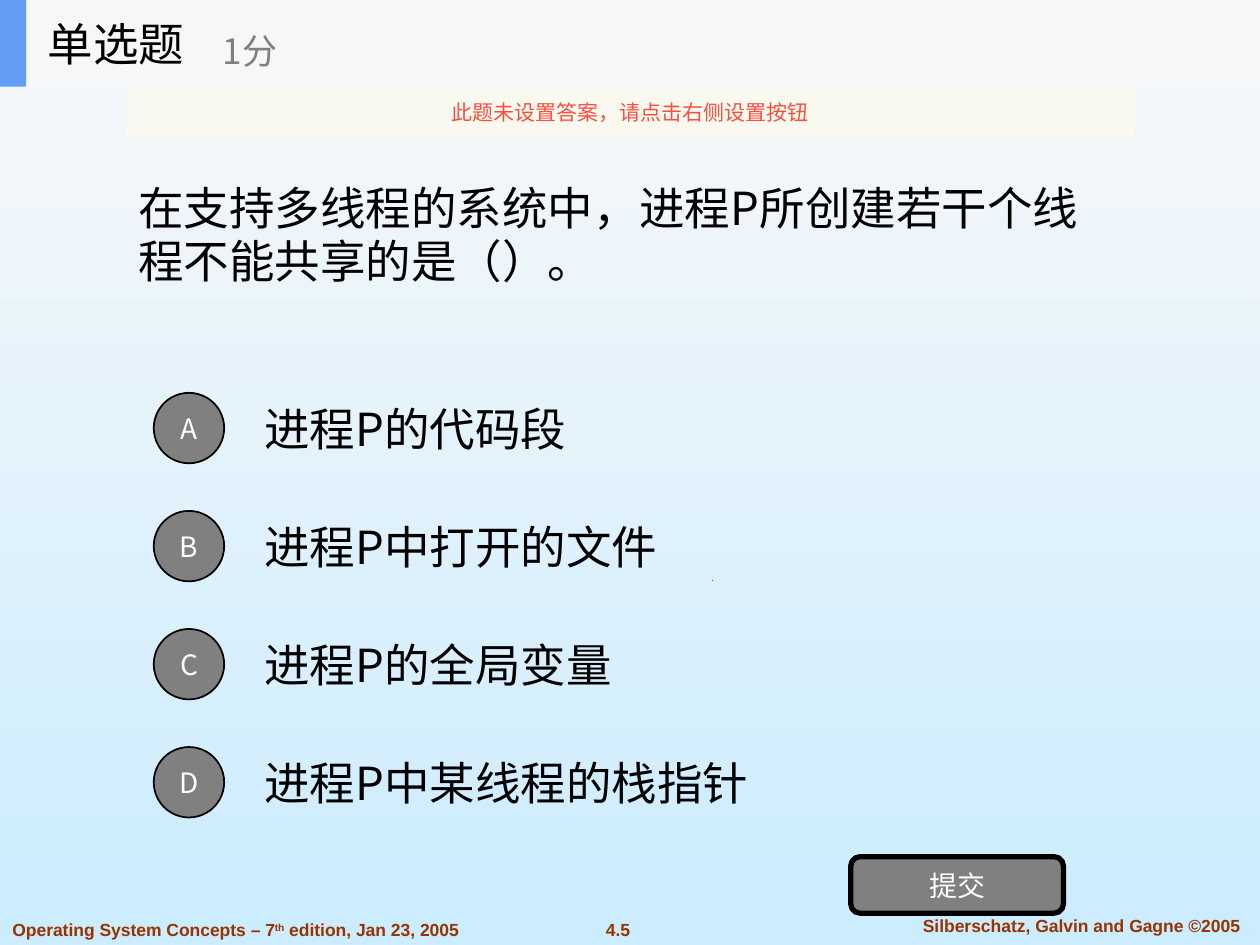
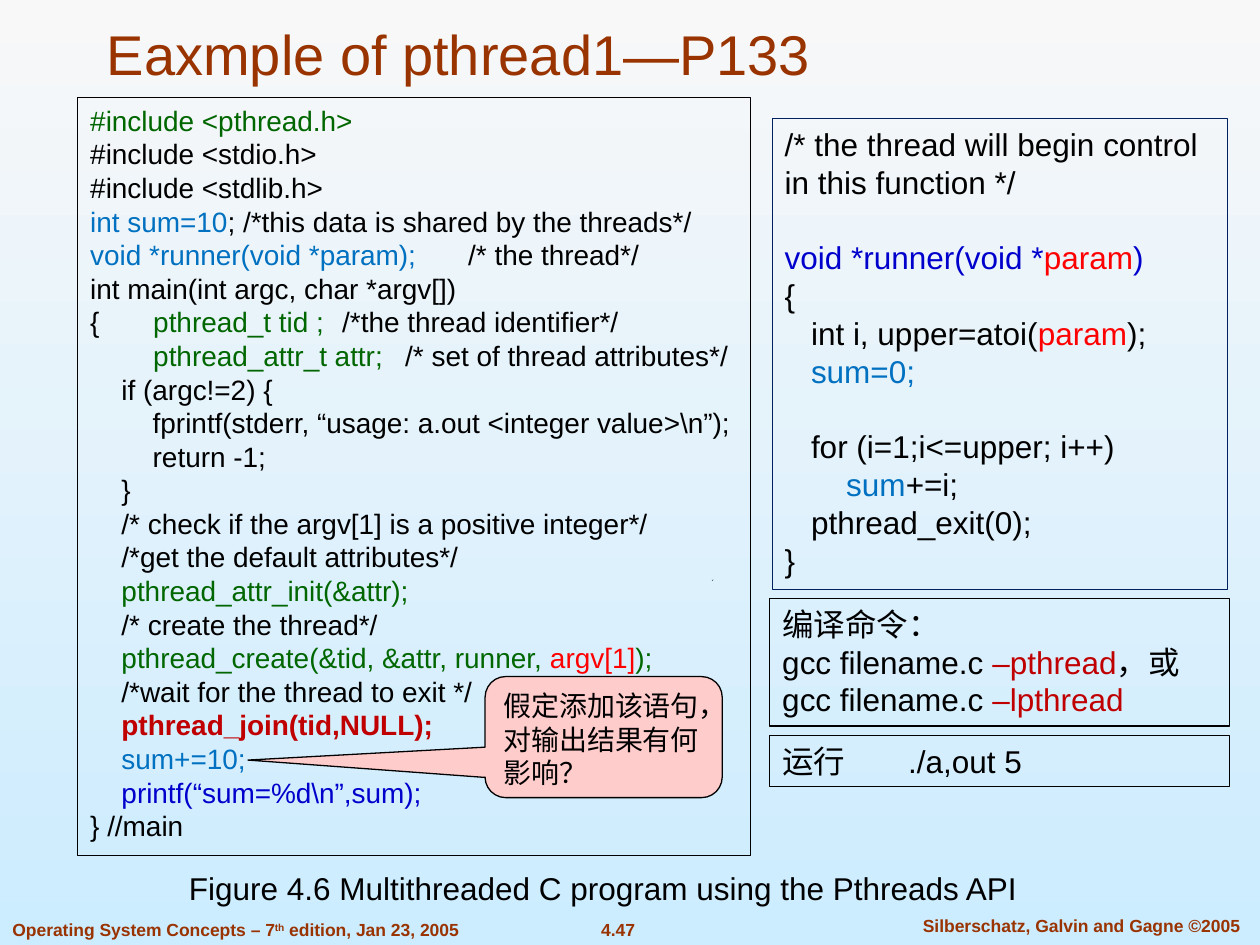
from lxml import etree
from pptx import Presentation
from pptx.dml.color import RGBColor
from pptx.enum.shapes import MSO_SHAPE
from pptx.enum.text import MSO_ANCHOR, MSO_AUTO_SIZE, PP_ALIGN
from pptx.oxml.ns import qn
from pptx.util import Cm, Pt

RECT, OVAL = MSO_SHAPE.RECTANGLE, MSO_SHAPE.OVAL
ROUND = MSO_SHAPE.ROUNDED_RECTANGLE
CALLOUT = MSO_SHAPE.ROUNDED_RECTANGULAR_CALLOUT
TOP, MIDDLE, BOTTOM = MSO_ANCHOR.TOP, MSO_ANCHOR.MIDDLE, MSO_ANCHOR.BOTTOM
LEFT, CENTER = PP_ALIGN.LEFT, PP_ALIGN.CENTER
FIXED = MSO_AUTO_SIZE.NONE

SANS, HAN = "Arial", "Noto Sans CJK SC"
COLORS = {
    "sky_top": "F8F8F8", "sky_low": "CCECFF", "rust": "993300",
    "black": "000000", "white": "FFFFFF", "gray": "808080",
    "band": "F6F7F8", "accent": "639EF4", "cream": "FBFAEF",
    "alert": "F84F41", "green": "006600", "blue": "0070C0",
    "ink": "0000CC", "red": "FF0000", "dark_red": "C00000",
    "navy": "002060", "pink": "FFCCCC",
}
STEP = 0.63          # one code indent, cm
BODY, LOOP = 0.53, 1.24  # indents in the runner function, cm


def color(key):
    return RGBColor.from_string(COLORS[key])


def line(*runs, left=0, gap=0):
    """One paragraph: runs are text or (text, colour); left in cm, gap in pt."""
    return runs, left, gap


def write(shape, content, size=18, font=SANS, ink="black", bold=False,
          align=LEFT, anchor=TOP, pitch=None, tabs=(), inset=None):
    """Fill a shape with text: a string or a list of strings and lines."""
    frame = shape.text_frame
    frame.word_wrap = True
    frame.auto_size = FIXED
    frame.vertical_anchor = anchor
    if inset is not None:
        frame.margin_left = frame.margin_right = Cm(inset)
        frame.margin_top = frame.margin_bottom = Cm(inset)
    items = [content] if isinstance(content, str) else content
    for i, item in enumerate(items):
        runs, left, gap = line(item) if isinstance(item, str) else item
        para = frame.add_paragraph() if i else frame.paragraphs[0]
        para.alignment = align
        para.space_before = Pt(gap)
        if pitch:
            para.line_spacing = Pt(pitch)
        props = para._p.get_or_add_pPr()
        props.set("marL", str(Cm(left)))
        props.set("indent", "0")
        if tabs:
            stops = etree.SubElement(props, qn("a:tabLst"))
            for stop in tabs:
                etree.SubElement(stops, qn("a:tab"), pos=str(Cm(stop)), algn="l")
        for part in runs:
            words, tint, *style = (part, ink) if isinstance(part, str) else part
            run = para.add_run()
            run.text = words
            run.font.size = Pt(size)
            run.font.name = font
            run.font.bold = bold or "bold" in style
            run.font.color.rgb = color(tint)
            mark = run._r.get_or_add_rPr()
            if "super" in style:
                mark.set("baseline", "30000")
            etree.SubElement(mark, qn("a:ea"), typeface=HAN)


def place(shape, at):
    shape.left, shape.top, shape.width, shape.height = map(Cm, at)


def label(slide, content, at, **form):
    box = slide.shapes.add_textbox(*map(Cm, at))
    write(box, content, **form)


def block(slide, kind, at, fill=None, edge=None, width=0.75, content=None, **form):
    shape = slide.shapes.add_shape(kind, *map(Cm, at))
    shape.shadow.inherit = False
    if fill:
        shape.fill.solid()
        shape.fill.fore_color.rgb = color(fill)
    else:
        shape.fill.background()
    if edge:
        shape.line.color.rgb = color(edge)
        shape.line.width = Pt(width)
    else:
        shape.line.fill.background()
    if content:
        write(shape, content, **form)
    return shape


def head(slide, content, at, **form):
    """Format the title and bring it in front of the shapes drawn so far."""
    title = slide.shapes.title
    place(title, at)
    write(title, content, **form)
    slide.shapes._spTree.append(title._element)


def sky(master):
    fill = master.background.fill
    fill.gradient()
    fill.gradient_angle = 270
    for stop, key in zip(fill.gradient_stops, ("sky_top", "sky_low")):
        stop.color.rgb = color(key)


def start(deck, number):
    """New title-only slide with the shared footer and speck."""
    slide = deck.slides.add_slide(deck.slide_layouts[5])
    form = dict(size=10, ink="rust", bold=True)
    label(slide, number, (11.29, 18.4, 2.34, 0.69), align=CENTER, **form)
    label(slide, "Silberschatz, Galvin and Gagne ©2005",
          (18.03, 18.33, 7.54, 0.69), align=CENTER, **form)
    label(slide, [line("Operating System Concepts – 7", ("th", "rust", "super"),
                       " edition, Jan 23, 2005")], (0, 18.4, 10.69, 0.69), **form)
    path_pen = slide.shapes.build_freeform(Cm(14.35), Cm(11.71))
    path_pen.add_line_segments([(Cm(14.38), Cm(11.68)), (Cm(14.36), Cm(11.71))])
    speck = path_pen.convert_to_shape()
    speck.shadow.inherit = False
    speck.fill.solid()
    speck.fill.fore_color.rgb = color("black")
    speck.line.fill.background()
    return slide


def quiz(deck):
    slide = start(deck, "4.5")
    han = dict(font=HAN, anchor=MIDDLE)
    badge = dict(fill="gray", edge="black", size=16, ink="white",
                 align=CENTER, inset=0, **han)

    # Question and choices
    label(slide, "在支持多线程的系统中，进程P所创建若干个线程不能共享的是（）。",
          (2.54, 1.75, 20.32, 5.94), size=26, pitch=30.3, **han)
    choices = ("进程P的代码段", "进程P中打开的文件",
               "进程P的全局变量", "进程P中某线程的栈指针")
    for i, (letter, choice) in enumerate(zip("ABCD", choices)):
        drop = 2.38 * i
        label(slide, choice, (5.08, 7.75 + drop, 17.78, 1.78), size=26, **han)
        block(slide, OVAL, (3.1, 7.92 + drop, 1.42, 1.42), width=1,
              content=letter, **badge)
    block(slide, ROUND, (17.15, 17.27, 4.29, 1.14), width=3,
          content="提交", **badge)

    # Header band
    block(slide, RECT, (0, 0, 25.4, 1.75), fill="band")
    block(slide, RECT, (0, 0, 0.53, 1.75), fill="accent")
    head(slide, "单选题", (0.71, 0, 5.28, 1.75), size=26, **han)
    label(slide, "1分", (4.24, 0.3, 6.35, 1.42), size=20, ink="gray", **han)

    # Notice
    notice = block(slide, RECT, (2.54, 1.75, 20.32, 1.02), fill="cream",
                   content="此题未设置答案，请点击右侧设置按钮", size=12,
                   ink="alert", align=CENTER, **han)
    tone = notice._element.spPr.find(qn("a:solidFill"))[0]
    etree.SubElement(tone, qn("a:alpha"), val="90000")


MAIN_CODE = [
    line(("#include <pthread.h>", "green")),
    "#include <stdio.h>",
    "#include <stdlib.h>",
    line(("int sum=10", "blue"), "; /*this data is shared by the threads*/"),
    line(("void *runner(void *param);\t", "blue"), "/* the thread*/"),
    "int main(int argc, char *argv[])",
    line("{\t", ("pthread_t tid ;\t", "green"), "/*the thread identifier*/"),
    line(("\tpthread_attr_t attr;\t", "green"), "/* set of thread attributes*/"),
    line("if (argc!=2) {", left=STEP),
    line("fprintf(stderr, “usage: a.out <integer value>\\n”);", left=2 * STEP),
    line("return -1;", left=2 * STEP),
    line("}", left=STEP),
    line("/* check if the argv[1] is a positive integer*/", left=STEP),
    line("/*get the default attributes*/", left=STEP),
    line(("pthread_attr_init(&attr);", "green"), left=STEP),
    line("/* create the thread*/", left=STEP),
    line(("pthread_create(&tid, &attr, runner, ", "green"), ("argv[1]", "red"),
         (");", "green"), left=STEP),
    line("/*wait for the thread to exit */", left=STEP),
    line(("pthread_join(tid,NULL);", "dark_red", "bold"), left=STEP),
    line(("sum+=10;", "blue"), left=STEP),
    line(("printf(“sum=%d\\n”,sum);", "ink"), left=STEP),
    "} //main",
]
RUNNER_CODE = [
    "/* the thread will begin control in this function */",
    line(("void *runner(void *", "ink"), ("param", "red"), (")", "ink"), gap=21.6),
    "{",
    line("int i, upper=atoi(", ("param", "red"), ");", left=BODY),
    line(("sum=0;", "blue"), left=BODY),
    line("for (i=1;i<=upper; i++)", left=BODY, gap=21.6),
    line(("sum", "blue"), "+=i;", left=LOOP),
    line("pthread_exit(0);", left=BODY),
    "}",
]
BUILD = [
    "编译命令：",
    line("gcc filename.c ", ("–pthread", "dark_red"), "，或"),
    line("gcc filename.c ", ("–lpthread", "dark_red")),
]


def sample(deck):
    slide = start(deck, "4.47")
    head(slide, "Eaxmple of pthread1—P133", (1.9, 0.63, 22.43, 1.24),
         size=32, ink="rust", anchor=BOTTOM)

    # Code and commands
    block(slide, RECT, (15.52, 12.07, 9.27, 2.57), edge="black",
          content=BUILD, pitch=21.6)
    block(slide, RECT, (1.57, 1.96, 13.56, 15.29), edge="black",
          content=MAIN_CODE, size=16, pitch=19.2, tabs=(0.66, 5.52, 6.89))
    block(slide, RECT, (15.57, 2.39, 9.17, 9.5), edge="navy",
          content=RUNNER_CODE, pitch=21.6)
    label(slide, "Figure 4.6 Multithreaded C program using the Pthreads API",
          (3.56, 17.4, 18.64, 1.02))
    block(slide, RECT, (15.52, 14.83, 9.27, 1.02), edge="black",
          content="运行\t./a,out 5", pitch=21.6, tabs=(1.71,))

    # Question about the added statement
    note = block(slide, CALLOUT, (9.78, 13.64, 4.78, 2.44), fill="pink",
                 edge="black", content="假定添加该语句，对输出结果有何影响？",
                 size=16, pitch=19.2)
    for i, value in enumerate((-1.5, 0.19, 0.17)):
        note.adjustments[i] = value


def main():
    deck = Presentation()
    deck.slide_width, deck.slide_height = Cm(25.4), Cm(19.05)
    sky(deck.slide_master)
    quiz(deck)
    sample(deck)
    deck.save("out.pptx")


if __name__ == "__main__":
    main()
